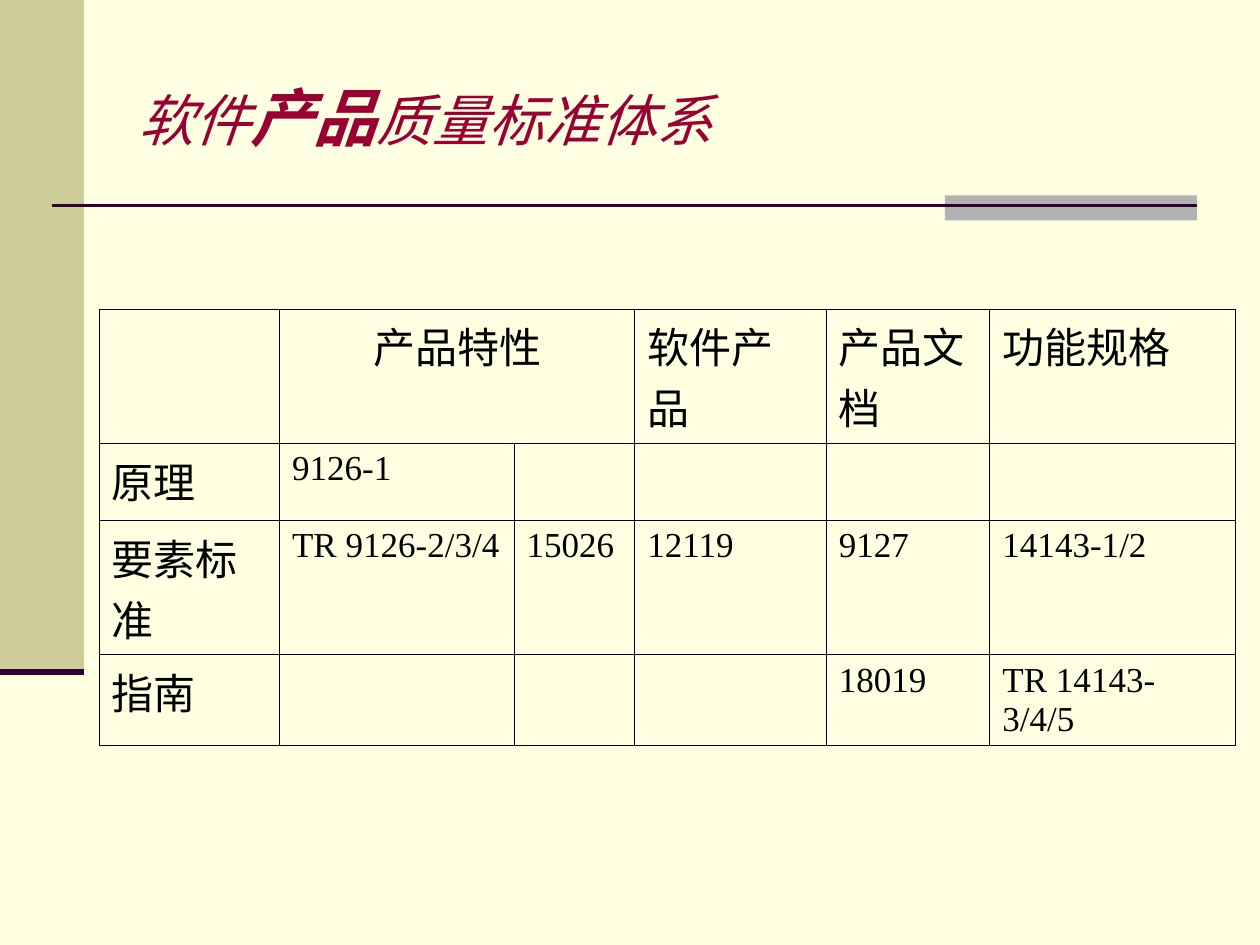
from lxml import etree
from pptx import Presentation
from pptx.dml.color import RGBColor
from pptx.enum.shapes import MSO_CONNECTOR, MSO_SHAPE
from pptx.enum.text import MSO_ANCHOR, MSO_AUTO_SIZE, PP_ALIGN
from pptx.oxml.ns import qn
from pptx.util import Pt

RECT = MSO_SHAPE.RECTANGLE
STRAIGHT = MSO_CONNECTOR.STRAIGHT
MIDDLE = MSO_ANCHOR.MIDDLE
NO_FIT = MSO_AUTO_SIZE.NONE
LEFT, CENTER = PP_ALIGN.LEFT, PP_ALIGN.CENTER

FONT = "Times New Roman"
COLORS = {
    "background": "FFFFE1",
    "sidebar": "CCCC99",
    "accent": "B2B2B2",
    "rule": "330033",
    "title": "990033",
    "text": "000000",
}
TITLE_RUNS = [("软件", 32, False), ("产品", 36, True), ("质量标准体系", 32, False)]
COL_WIDTHS = [103, 134, 69, 109.5, 93.5, 140.5]
ROW_HEIGHTS = [57.6, 43.9, 28.8, 44.6]
ROWS = [
    ["", "产品特性", "", "软件产品", "产品文档", "功能规格"],
    ["原理", "9126-1", "", "", "", ""],
    ["要素标准", "TR 9126-2/3/4", "15026", "12119", "9127", "14143-1/2"],
    ["指南", "", "", "", "18019", "TR 14143-3/4/5"],
]


def rgb(name):
    return RGBColor.from_string(COLORS[name])


def add_block(s, x, y, w, h, color):
    sp = s.shapes.add_shape(RECT, Pt(x), Pt(y), Pt(w), Pt(h))
    sp.shadow.inherit = False
    sp.fill.solid()
    sp.fill.fore_color.rgb = rgb(color)
    sp.line.fill.background()


def add_rule(s, x1, x2, y, width):
    line = s.shapes.add_connector(STRAIGHT, Pt(x1), Pt(y), Pt(x2), Pt(y))
    line.line.color.rgb = rgb("rule")
    line.line.width = Pt(width)
    etree.SubElement(line._element.spPr, qn("a:effectLst"))


def set_title(s):
    sp = s.shapes.title
    sp.left, sp.top, sp.width, sp.height = Pt(72), Pt(21.6), Pt(612), Pt(90)
    tf = sp.text_frame
    tf.auto_size = NO_FIT
    tf.vertical_anchor = MIDDLE
    p = tf.paragraphs[0]
    p.alignment = LEFT
    p.font.name = FONT
    p.font.italic = True
    p.font.color.rgb = rgb("title")
    for text, size, bold in TITLE_RUNS:
        r = p.add_run()
        r.text = text
        r.font.size = Pt(size)
        r.font.bold = bold


def add_borders(cell):
    tc_pr = cell._tc.get_or_add_tcPr()
    for side in ("a:lnL", "a:lnR", "a:lnT", "a:lnB"):
        ln = etree.SubElement(tc_pr, qn(side), w=str(Pt(0.45)))
        fill = etree.SubElement(ln, qn("a:solidFill"))
        etree.SubElement(fill, qn("a:srgbClr"), val=COLORS["text"])


def fill_cell(cell, text, size):
    add_borders(cell)
    cell.fill.background()
    if text:
        cell.text = text
        p = cell.text_frame.paragraphs[0]
        p.font.name = FONT
        p.font.size = Pt(size)
        p.font.color.rgb = rgb("text")


def add_standards_table(s):
    frame = s.shapes.add_table(
        len(ROWS), len(COL_WIDTHS), Pt(56.7), Pt(176.5),
        Pt(sum(COL_WIDTHS)), Pt(sum(ROW_HEIGHTS)))
    table = frame.table
    table.first_row = table.horz_banding = False
    for col, width in zip(table.columns, COL_WIDTHS):
        col.width = Pt(width)
    for row, height in zip(table.rows, ROW_HEIGHTS):
        row.height = Pt(height)
    for i, texts in enumerate(ROWS):
        for j, text in enumerate(texts):
            fill_cell(table.cell(i, j), text, 24 if i == 0 or j == 0 else 20)
    header = table.cell(0, 1)
    header.merge(table.cell(0, 2))
    header.text_frame.paragraphs[0].alignment = CENTER


def main():
    prs = Presentation()
    prs.slide_width, prs.slide_height = Pt(720), Pt(540)
    s = prs.slides.add_slide(prs.slide_layouts[5])
    s.background.fill.solid()
    s.background.fill.fore_color.rgb = rgb("background")
    add_block(s, 0, 0, 48, 384, "sidebar")
    add_block(s, 540, 111.6, 144, 14.4, "accent")
    add_rule(s, 30, 684, 117.6, 1.5)
    add_rule(s, 0, 48, 384, 3.5)
    set_title(s)
    add_standards_table(s)
    prs.save("out.pptx")


if __name__ == "__main__":
    main()
